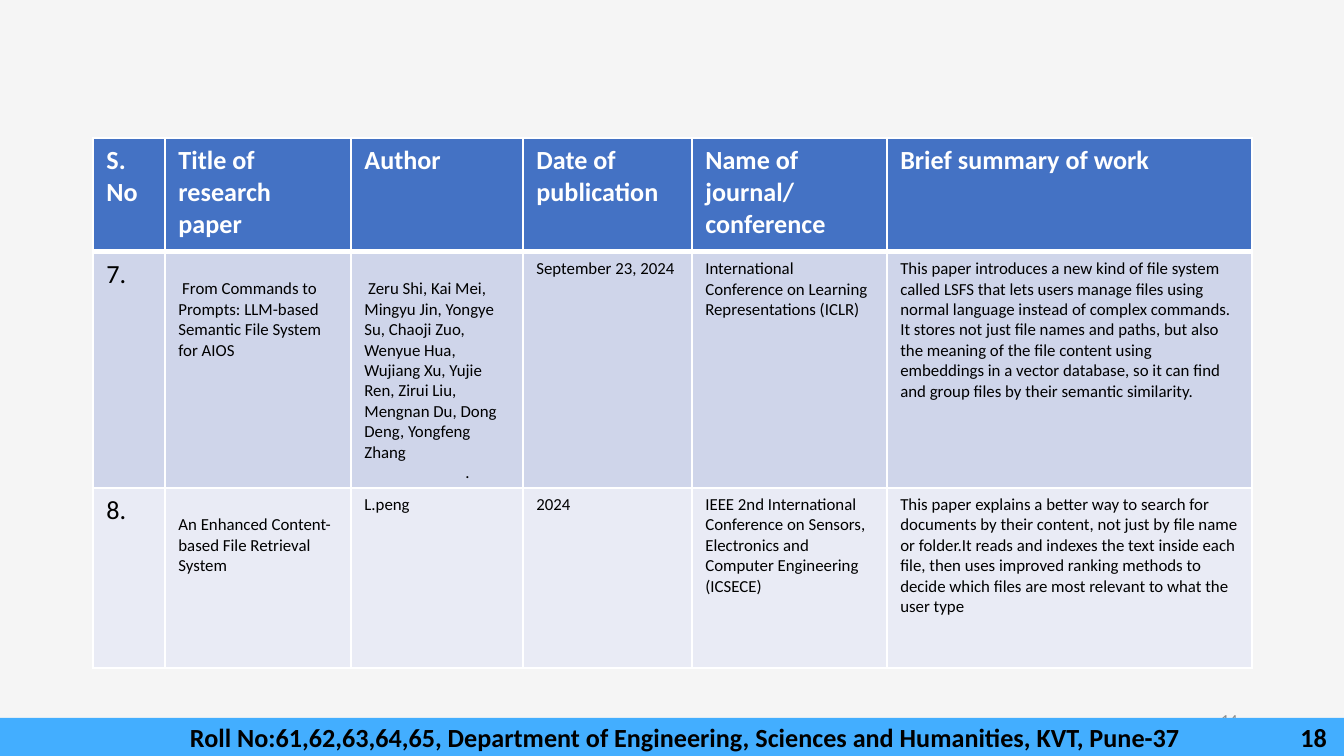
"""Build a literature survey slide with a table of research papers."""
from dataclasses import dataclass

from lxml.etree import SubElement
from pptx import Presentation
from pptx.dml.color import RGBColor
from pptx.enum.shapes import MSO_SHAPE
from pptx.enum.text import MSO_ANCHOR, PP_ALIGN
from pptx.oxml.ns import qn
from pptx.util import Pt

HEADINGS = ["S.\nNo", "Title of research paper", "Author", "Date of publication",
            "Name of journal/\nconference", "Brief summary of work"]
PAPERS = [
    ["7.",
     " From Commands to Prompts: LLM-based Semantic File System for AIOS",
     " Zeru Shi, Kai Mei, Mingyu Jin, Yongye Su, Chaoji Zuo, Wenyue Hua, Wujiang Xu, "
     "Yujie Ren, Zirui Liu, Mengnan Du, Dong Deng, Yongfeng Zhang\n.",
     "September 23, 2024",
     "International Conference on Learning Representations (ICLR)",
     "This paper introduces a new kind of file system called LSFS that lets users manage "
     "files using normal language instead of complex commands. It stores not just file "
     "names and paths, but also the meaning of the file content using embeddings in a "
     "vector database, so it can find and group files by their semantic similarity."],
    ["8.",
     "An Enhanced Content-based File Retrieval System",
     "L.peng",
     "2024",
     "IEEE 2nd International Conference on Sensors, Electronics and Computer Engineering "
     "(ICSECE)",
     "This paper explains a better way to search for documents by their content, not just "
     "by file name or folder.It reads and indexes the text inside each file, then uses "
     "improved ranking methods to decide which files are most relevant to what the user type"],
]
FOOTER = "Roll No:61,62,63,64,65, Department of Engineering, Sciences and Humanities, KVT, Pune-37"
FOOTER_NUMBER = "18"
SLIDE_NUMBER = "14"

SLIDE_SIZE = (1344, 756)
TABLE_ORIGIN = (93, 138)
COLUMN_WIDTHS = [72, 186, 172, 169, 195, 365]
ROW_HEIGHTS = [114, 234, 180]
LOWERED_CELLS = {(1, 1), (1, 2), (2, 1)}
LOWERED_TOP = 27
DOT_INDENT = 101
NUMBER_BOX = (949, 700, 302, 40)
FOOTER_BAR = (0, 718, 1344, 38)
FOOTER_LEFT = 190
FOOTER_TAB = 1137


@dataclass(frozen=True)
class Theme:
    font: str = "Calibri"
    page: str = "F5F5F5"
    bar: str = "43AEFF"
    header: str = "4472C4"
    bands: tuple = ("CFD5EA", "E9EBF5")
    white: str = "FFFFFF"
    black: str = "000000"
    gray: str = "8C8C8C"
    large: int = 14
    small: int = 9
    thin: int = 1
    thick: int = 3


THEME = Theme()


def px(length):
    return round(length * 914400 / 134.4)


def paint(fill, color):
    fill.solid()
    fill.fore_color.rgb = RGBColor.from_string(color)


def write(frame, text, size, color, bold=False, align=PP_ALIGN.LEFT):
    frame.word_wrap = True
    for index, line in enumerate(text.split("\n")):
        para = frame.paragraphs[0] if index == 0 else frame.add_paragraph()
        para.alignment = align
        span = para.add_run()
        span.text = line
        formats = {"name": THEME.font, "size": Pt(size), "bold": bold}
        for name, value in formats.items():
            setattr(span.font, name, value)
        span.font.color.rgb = RGBColor.from_string(color)


def add_borders(cell, widths):
    properties = cell._tc.get_or_add_tcPr()
    for side, width in widths.items():
        line = SubElement(properties, qn(f"a:ln{side}"), w=str(Pt(width)))
        fill = SubElement(line, qn("a:solidFill"))
        SubElement(fill, qn("a:srgbClr"), val=THEME.white)


def add_papers(page):
    rows = [HEADINGS, *PAPERS]
    size = (sum(COLUMN_WIDTHS), sum(ROW_HEIGHTS))
    table = page.shapes.add_table(len(rows), len(HEADINGS),
                                  *map(px, TABLE_ORIGIN + size)).table
    for column, width in zip(table.columns, COLUMN_WIDTHS):
        column.width = px(width)
    for row, height in zip(table.rows, ROW_HEIGHTS):
        row.height = px(height)
    for r, texts in enumerate(rows):
        heading = r == 0
        for c, text in enumerate(texts):
            cell = table.cell(r, c)
            add_borders(cell, {"L": THEME.thin, "R": THEME.thin,
                               "T": THEME.thick if r == 1 else THEME.thin,
                               "B": THEME.thick if heading else THEME.thin})
            paint(cell.fill, THEME.header if heading else THEME.bands[r - 1])
            if (r, c) in LOWERED_CELLS:
                cell.margin_top = px(LOWERED_TOP)
            write(cell.text_frame, text,
                  THEME.large if heading or c == 0 else THEME.small,
                  THEME.white if heading else THEME.black, heading)
    dot = table.cell(1, 2).text_frame.paragraphs[-1]
    dot._p.get_or_add_pPr().set("marL", str(px(DOT_INDENT)))


def add_slide_number(page):
    box = page.shapes.add_textbox(*map(px, NUMBER_BOX))
    box.text_frame.vertical_anchor = MSO_ANCHOR.MIDDLE
    write(box.text_frame, SLIDE_NUMBER, THEME.small, THEME.gray, align=PP_ALIGN.RIGHT)


def add_footer(page):
    bar = page.shapes.add_shape(MSO_SHAPE.RECTANGLE, *map(px, FOOTER_BAR))
    bar.shadow.inherit = False
    paint(bar.fill, THEME.bar)
    bar.line.fill.background()
    frame = bar.text_frame
    frame.vertical_anchor = MSO_ANCHOR.MIDDLE
    frame.margin_left = px(FOOTER_LEFT)
    write(frame, f"{FOOTER}\t{FOOTER_NUMBER}", THEME.large, THEME.black, True)
    tabs = SubElement(frame.paragraphs[0]._p.get_or_add_pPr(), qn("a:tabLst"))
    SubElement(tabs, qn("a:tab"), pos=str(px(FOOTER_TAB)), algn="r")


def main():
    deck = Presentation()
    deck.slide_width, deck.slide_height = map(px, SLIDE_SIZE)
    page = deck.slides.add_slide(deck.slide_layouts[6])
    paint(page.background.fill, THEME.page)
    add_slide_number(page)
    add_footer(page)
    add_papers(page)
    deck.save("out.pptx")


if __name__ == "__main__":
    main()
